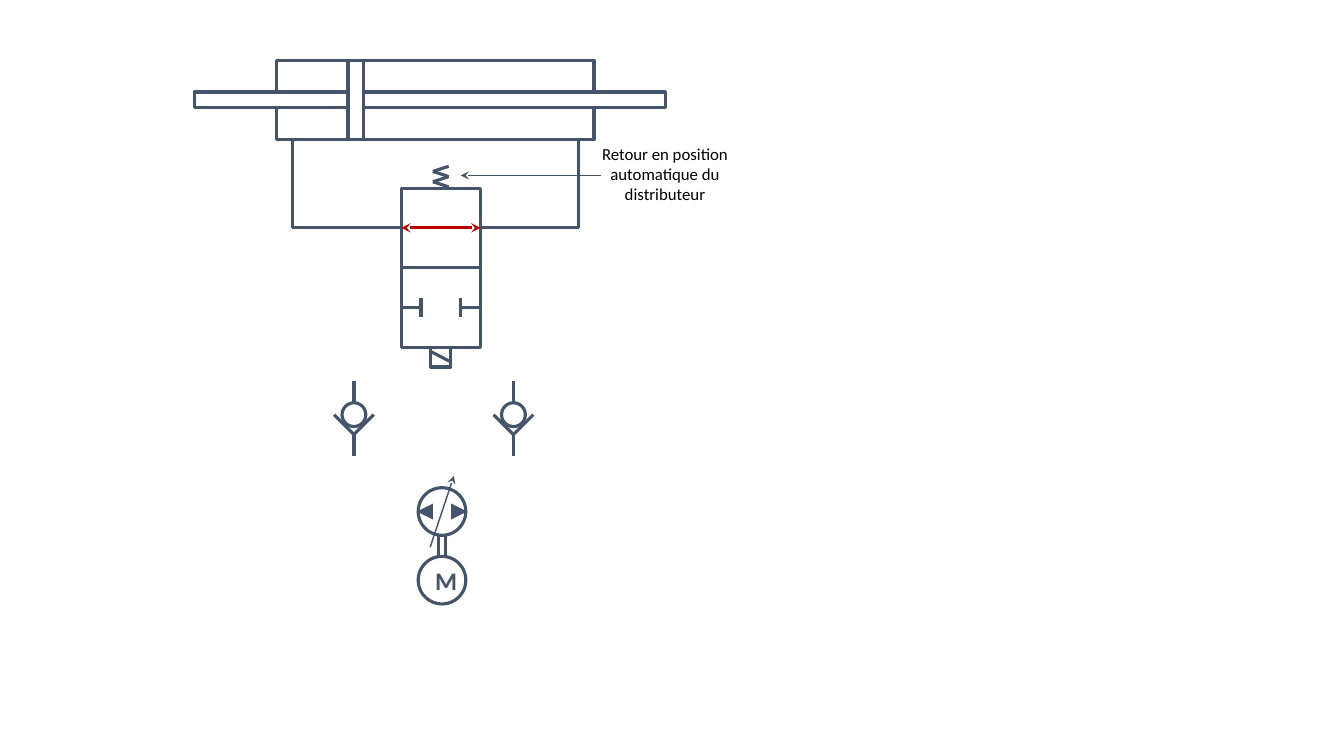
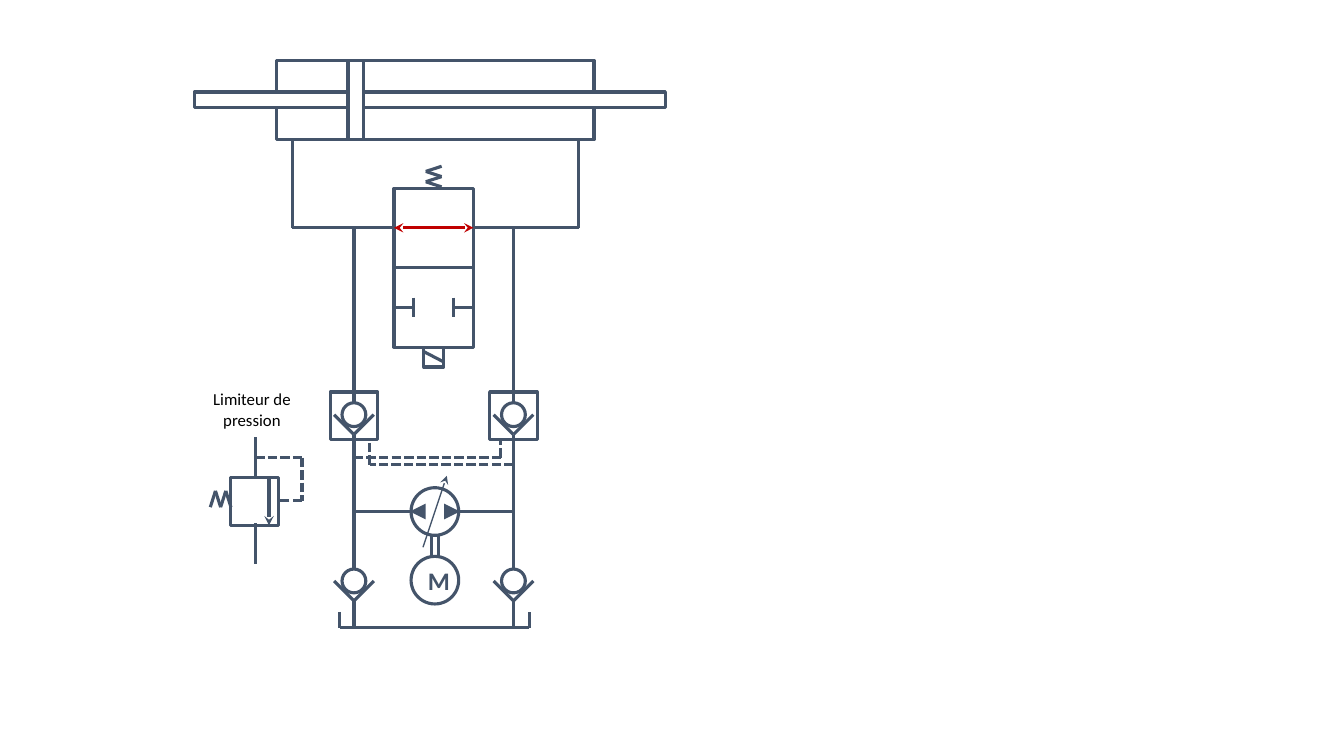
"""Draw two hydraulic circuit diagrams: a cylinder alone, then the full circuit."""
from itertools import pairwise

from lxml import etree
from pptx import Presentation
from pptx import util as u
from pptx.dml.color import RGBColor
from pptx.enum import dml, shapes, text
from pptx.oxml.ns import qn

INK, RED, WHITE, BLACK = "44546A", "C00000", "FFFFFF", "000000"
FONT = "Calibri"
THICK, THIN = 2.25, 1
SHAPE = shapes.MSO_SHAPE
PORT_Y = 5.74
LEFT_RAIL, RIGHT_RAIL = 8.92, 12.94
RAILS = (LEFT_RAIL, RIGHT_RAIL)
PUMP_Y = 12.89
BIG = 1.2


def color(value):
    """Turn a hex string into a colour."""
    return RGBColor.from_string(value)


def add_line(slide, start, end, ink=INK, width=THICK, dashed=False, heads=()):
    """Draw a straight line with optional dashes and arrowheads."""
    connector = slide.shapes.add_connector(
        shapes.MSO_CONNECTOR.STRAIGHT, *(u.Cm(value) for value in (*start, *end)))
    connector.line.color.rgb = color(ink)
    connector.line.width = u.Pt(width)
    if dashed:
        connector.line.dash_style = dml.MSO_LINE.SQUARE_DOT
    properties = connector._element.spPr
    for head in heads:
        etree.SubElement(properties.find(qn("a:ln")), qn(f"a:{head}"), type="stealth")
    etree.SubElement(properties, qn("a:effectLst"))


def add_path(slide, *points, dashed=False):
    """Join successive points with lines."""
    for start, end in pairwise(points):
        add_line(slide, start, end, dashed=dashed)


def add_box(slide, kind, left, top, width, height, fill=None, outlined=True):
    """Draw a preset shape, hollow unless a fill is given."""
    shape = slide.shapes.add_shape(kind, *(u.Cm(value) for value in (left, top, width, height)))
    shape.shadow.inherit = False
    if fill:
        shape.fill.solid()
        shape.fill.fore_color.rgb = color(fill)
    else:
        shape.fill.background()
    if outlined:
        shape.line.color.rgb = color(INK)
        shape.line.width = u.Pt(THICK)
    else:
        shape.line.fill.background()
    return shape


def write(shape, content, size, ink, bold=False):
    """Write one centred paragraph in a shape."""
    shape.text_frame.text = content
    shape.text_frame.word_wrap = True
    paragraph = shape.text_frame.paragraphs[0]
    paragraph.alignment = text.PP_ALIGN.CENTER
    font = paragraph.runs[0].font
    font.name, font.size, font.bold = FONT, u.Pt(size), bold
    font.color.rgb = color(ink)


def add_label(slide, content, left, top, width, height):
    """Add a caption that wraps within its width."""
    label = slide.shapes.add_textbox(*(u.Cm(value) for value in (left, top, width, height)))
    write(label, content, 12, BLACK)
    label.text_frame.auto_size = text.MSO_AUTO_SIZE.SHAPE_TO_FIT_TEXT


def add_cylinder(slide, valve_x):
    """Draw the double-rod cylinder and its pipes to the valve."""
    for left, top, width, height, fill in (
            (6.97, 1.52, 8, 2, None), (8.77, 1.52, 0.4, 2, None),
            (9.17, 2.32, 7.6, 0.4, WHITE), (4.9, 2.32, 3.87, 0.4, WHITE)):
        add_box(slide, SHAPE.RECTANGLE, left, top, width, height, fill)
    for port_x, side in ((7.37, -1), (14.58, 1)):
        add_path(slide, (port_x, 3.52), (port_x, PORT_Y), (valve_x + side, PORT_Y))


def add_valve(slide, center):
    """Draw the two-position valve with its spring and solenoid."""
    for top in (4.75, 6.75):
        add_box(slide, SHAPE.RECTANGLE, center - 1, top, 2, 2)
    add_box(slide, SHAPE.RECTANGLE, center - 0.25, 8.75, 0.5, 0.5)
    add_line(slide, (center + 0.25, 9.12), (center - 0.25, 8.86))
    add_path(slide, *((center + 0.2 * (-1) ** step, 4.19 + 0.13 * step) for step in range(5)))
    add_line(slide, (center - 1, PORT_Y), (center + 1, PORT_Y), RED,
             heads=("headEnd", "tailEnd"))
    for side in (-1, 1):
        stop = center + side / 2
        add_line(slide, (center + side, 7.75), (stop, 7.75))
        add_line(slide, (stop, 7.5), (stop, 8))


def add_check_valve(slide, center, seat, top, bottom):
    """Draw a check valve whose stem runs from top to bottom."""
    add_path(slide, (center - 0.5, seat - 0.5), (center, seat), (center + 0.5, seat - 0.5))
    add_box(slide, SHAPE.OVAL, center - 0.3, seat - 0.8, 0.6, 0.6)
    add_line(slide, (center, top), (center, seat - 0.8))
    add_line(slide, (center, seat), (center, bottom))


def add_pump(slide, center):
    """Draw the variable pump coupled to its motor."""
    for offset in (-0.09, 0.09):
        add_line(slide, (center + offset, 13.23), (center + offset, 14.33))
    add_box(slide, SHAPE.OVAL, center - BIG / 2, PUMP_Y - BIG / 2, BIG, BIG, WHITE)
    for offset, angle in ((-0.43, 270), (0.43, 90)):
        triangle = add_box(slide, SHAPE.ISOSCELES_TRIANGLE, center + offset - 0.2,
                           PUMP_Y - 0.2, 0.4, 0.4, INK, outlined=False)
        triangle.rotation = angle
    add_line(slide, (center - 0.3, PUMP_Y + 0.9), (center + 0.3, PUMP_Y - 0.9),
             width=THIN, heads=("tailEnd",))
    motor = add_box(slide, SHAPE.OVAL, center - BIG / 2, 14.02, BIG, BIG, WHITE)
    write(motor, "M", 18, INK, bold=True)


def add_relief_valve(slide):
    """Draw the pressure relief valve with its spring and pilot line."""
    left, top, pipe_x = 5.82, 12.04, 6.43
    add_box(slide, SHAPE.RECTANGLE, left, top, BIG, BIG)
    add_line(slide, (6.78, top), (6.78, top + BIG), heads=("tailEnd",))
    add_path(slide, *((left - 0.13 * step, (12.78, 12.37)[step % 2]) for step in range(5)))
    add_line(slide, (pipe_x, 11.02), (pipe_x, top))
    add_line(slide, (pipe_x, 13.18), (pipe_x, 14.2))
    add_path(slide, (pipe_x, 11.53), (7.61, 11.53), (7.61, 12.62), (left + BIG, 12.62),
             dashed=True)


def build_first(slide):
    """Build the slide with the separate components."""
    add_cylinder(slide, 11.11)
    add_valve(slide, 11.11)
    add_line(slide, (15.14, 4.42), (11.61, 4.42), width=THIN, heads=("tailEnd",))
    add_label(slide, "Retour en position automatique du distributeur", 14.55, 3.5, 4.42, 1.8)
    for rail in RAILS:
        add_check_valve(slide, rail, 10.95, 9.6, 11.48)
    add_pump(slide, 11.14)


def build_second(slide):
    """Build the slide with the connected circuit."""
    add_cylinder(slide, 10.93)
    add_valve(slide, 10.93)
    for rail in RAILS:
        add_check_valve(slide, rail, 10.95, PORT_Y, 13.5)
        add_check_valve(slide, rail, 15.14, 13.44, 15.8)
        add_box(slide, SHAPE.RECTANGLE, rail - BIG / 2, 9.88, BIG, BIG)
    add_line(slide, (LEFT_RAIL, PUMP_Y), (RIGHT_RAIL, PUMP_Y))
    add_pump(slide, 10.96)
    add_path(slide, (8.56, 15.42), (8.56, 15.82), (13.34, 15.82), (13.34, 15.42))
    add_path(slide, (LEFT_RAIL, 11.53), (12.62, 11.53), (12.62, 11.08), dashed=True)
    add_path(slide, (RIGHT_RAIL, 11.71), (9.32, 11.71), (9.32, 11.08), dashed=True)
    add_relief_valve(slide)
    add_label(slide, "Limiteur de pression", 5.03, 9.68, 2.64, 1.27)


def main():
    """Create and save the presentation."""
    presentation = Presentation()
    presentation.slide_width, presentation.slide_height = u.Cm(33.87), u.Cm(19.05)
    for build in (build_first, build_second):
        build(presentation.slides.add_slide(presentation.slide_layouts[6]))
    presentation.save("out.pptx")


if __name__ == "__main__":
    main()
